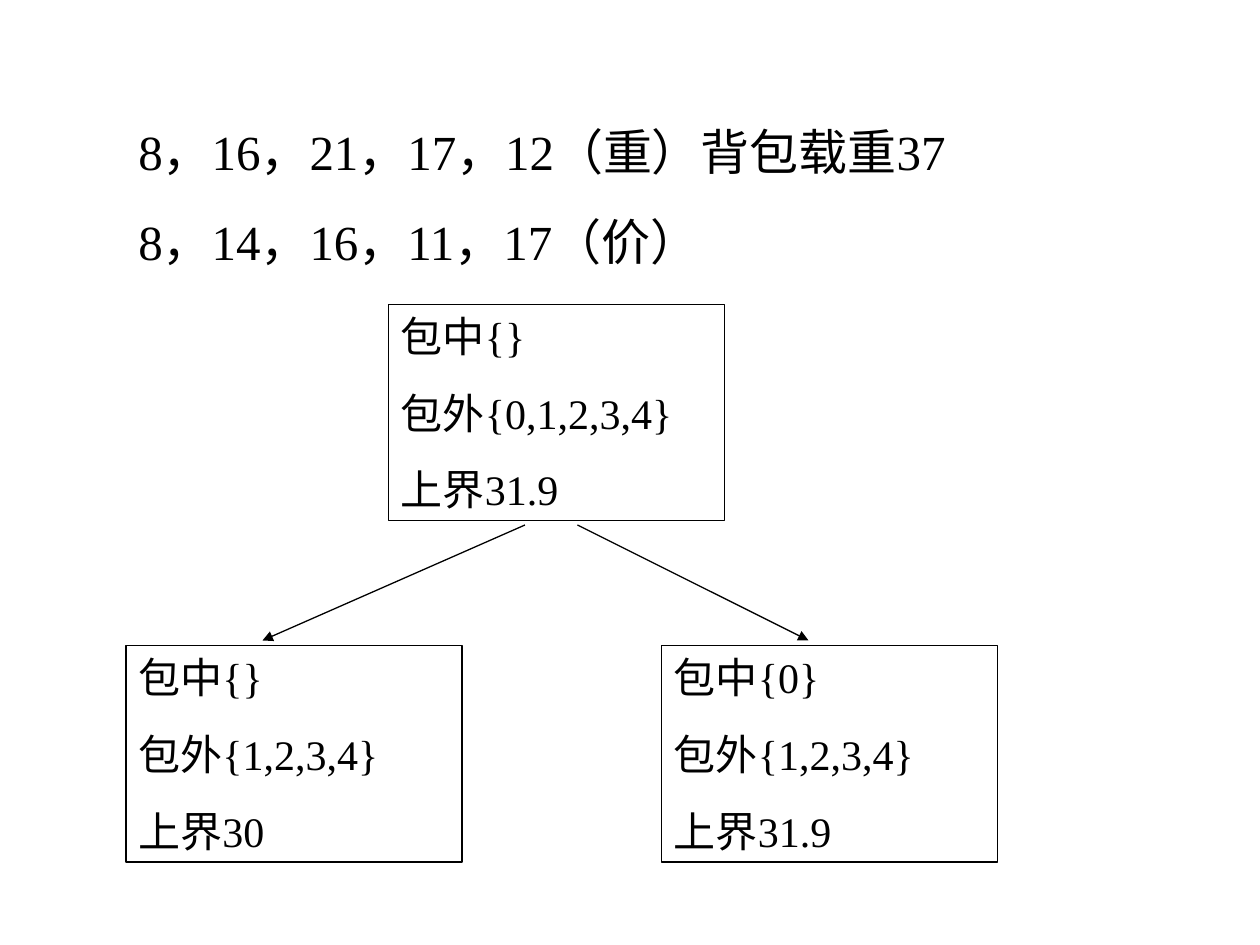
"""Build a knapsack branch-and-bound slide with a root and two child nodes."""
from dataclasses import dataclass

import lxml.etree
import pptx
import pptx.dml.color
import pptx.enum.shapes
import pptx.enum.text
import pptx.oxml.ns
import pptx.shapes.autoshape
import pptx.slide
import pptx.util


@dataclass(frozen=True)
class Theme:
    ink: pptx.dml.color.RGBColor = pptx.dml.color.RGBColor(0, 0, 0)
    font: str = "Times New Roman"
    data_size: int = 28
    node_size: int = 24
    spacing: float = 0.625
    line: float = 0.74


@dataclass(frozen=True)
class Node:
    col: float
    row: float
    inside: str
    outside: str
    bound: str


@dataclass(frozen=True)
class Branch:
    start_col: float
    end_col: float


THEME = Theme()
COLS, ROWS = 120, 90
CELL = pptx.util.Inches(10) // COLS
NODE_W, NODE_H = 32, 20.6
CHILD_ROW = 61.5
BRANCH_TOP, BRANCH_BOTTOM = 50, 61

DATA = ["8，16，21，17，12（重）背包载重37", "8，14，16，11，17（价）"]
NODES = [
    Node(37, 29, "{}", "{0,1,2,3,4}", "31.9"),
    Node(12, CHILD_ROW, "{}", "{1,2,3,4}", "30"),
    Node(63, CHILD_ROW, "{0}", "{1,2,3,4}", "31.9"),
]
BRANCHES = [Branch(50, 25), Branch(55, 77)]


def cells(*counts: float) -> list[int]:
    """Convert grid counts to lengths."""
    return [round(n * CELL) for n in counts]


def write(sp: pptx.shapes.autoshape.Shape, lines: list[str], size: int) -> None:
    """Write left-aligned paragraphs into a shape."""
    tf = sp.text_frame
    tf.word_wrap = True
    tf.auto_size = pptx.enum.text.MSO_AUTO_SIZE.SHAPE_TO_FIT_TEXT
    tf.vertical_anchor = pptx.enum.text.MSO_ANCHOR.TOP
    tf.text = "\n".join(lines)
    for p in tf.paragraphs:
        p.alignment = pptx.enum.text.PP_ALIGN.LEFT
        p.space_before = pptx.util.Pt(size * THEME.spacing)
        p.font.name = THEME.font
        p.font.size = pptx.util.Pt(size)
        p.font.color.rgb = THEME.ink


def add_node(slide: pptx.slide.Slide, node: Node) -> None:
    """Draw one search node."""
    sp = slide.shapes.add_shape(
        pptx.enum.shapes.MSO_SHAPE.RECTANGLE,
        *cells(node.col, node.row, NODE_W, NODE_H),
    )
    sp.shadow.inherit = False
    sp.fill.background()
    sp.line.color.rgb = THEME.ink
    sp.line.width = pptx.util.Pt(THEME.line)
    lines = [f"包中{node.inside}", f"包外{node.outside}", f"上界{node.bound}"]
    write(sp, lines, THEME.node_size)


def add_branch(slide: pptx.slide.Slide, branch: Branch) -> None:
    """Draw one arrow from the root to a child."""
    sp = slide.shapes.add_connector(
        pptx.enum.shapes.MSO_CONNECTOR.STRAIGHT,
        *cells(branch.start_col, BRANCH_TOP, branch.end_col, BRANCH_BOTTOM),
    )
    sp.line.color.rgb = THEME.ink
    sp.line.width = pptx.util.Pt(THEME.line)
    qn = pptx.oxml.ns.qn
    ln = sp.line._get_or_add_ln()
    lxml.etree.SubElement(ln, qn("a:tailEnd"), type="triangle")
    lxml.etree.SubElement(ln.getparent(), qn("a:effectLst"))


def main() -> None:
    """Build and save the slide."""
    prs = pptx.Presentation()
    prs.slide_width, prs.slide_height = cells(COLS, ROWS)
    slide = prs.slides.add_slide(prs.slide_layouts[6])
    sp = slide.shapes.add_textbox(*cells(12, 11, 91, 15.4))
    write(sp, DATA, THEME.data_size)
    for node in NODES:
        add_node(slide, node)
    for branch in BRANCHES:
        add_branch(slide, branch)
    prs.save("out.pptx")


main()
